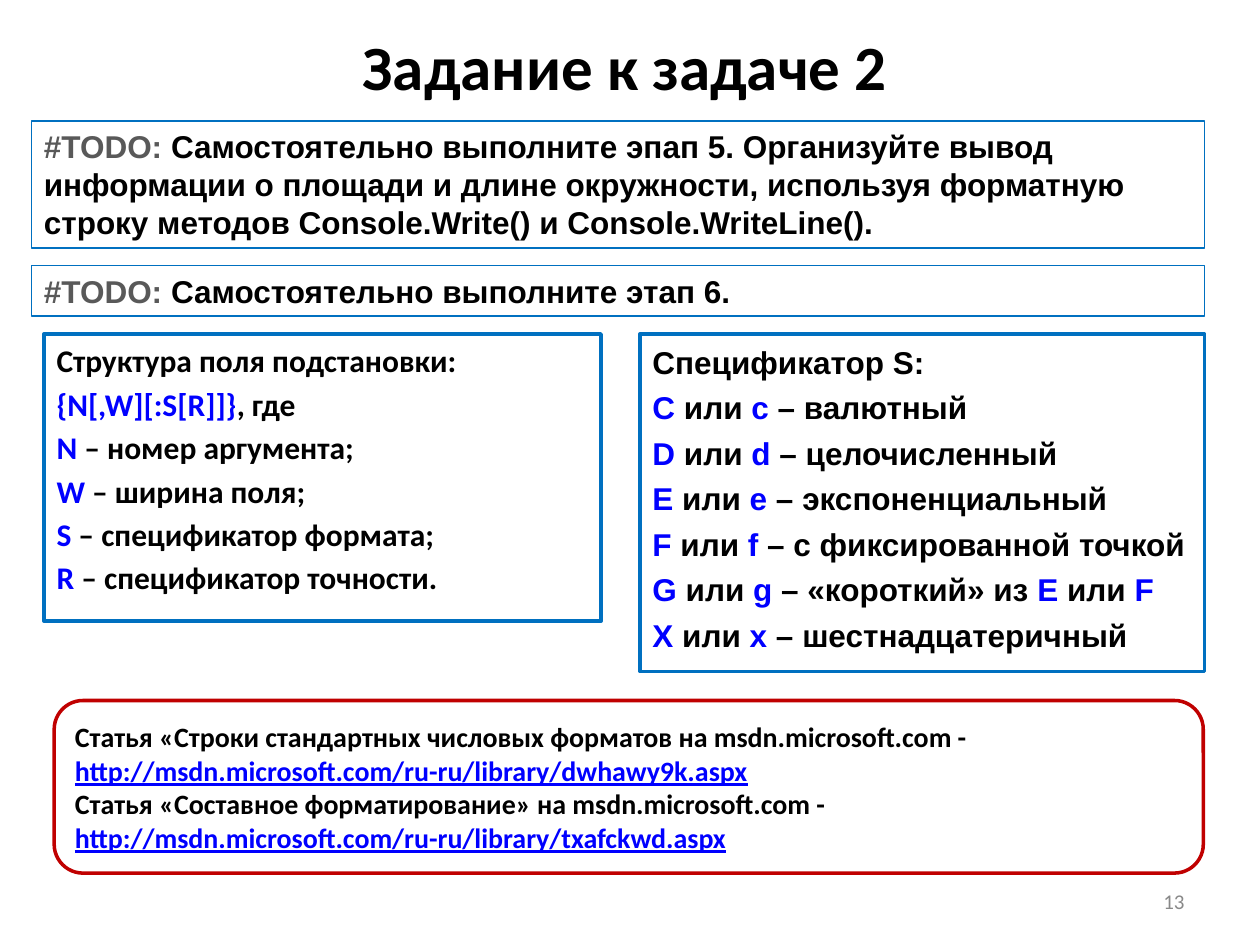
import pptx
import pptx.util
import pptx.dml.color
import pptx.enum.shapes
import pptx.enum.text

Inches, Pt = pptx.util.Inches, pptx.util.Pt
SHAPE = pptx.enum.shapes.MSO_SHAPE
ALIGN = pptx.enum.text.PP_ALIGN
ANCHOR = pptx.enum.text.MSO_ANCHOR

HUES = {"text": "000000", "key": "0000FF", "todo": "595959", "page": "898989",
        "edge": "0070C0", "frame": "C00000", "paper": "FFFFFF"}


def color(name):
    return pptx.dml.color.RGBColor.from_string(HUES[name])


class Deck:
    """Holds the current slide and the shared text style."""

    def __init__(self, slide):
        self.slide = slide

    def text(self, shape, lines, size, font="Calibri", bold=True, hue="text",
             mark="key", line=False, align=ALIGN.LEFT, anchor=ANCHOR.TOP,
             gap=0, hang=0, top=0.05):
        """Fill a shape; text between bars takes the mark colour."""
        frame = shape.text_frame
        frame.word_wrap = True
        frame.vertical_anchor = anchor
        frame.margin_top = Inches(top)
        for i, words in enumerate(lines):
            para = frame.add_paragraph() if i else frame.paragraphs[0]
            para.alignment = align
            if i and gap:
                para.space_before = Pt(gap)
            if hang:
                props = para._p.get_or_add_pPr()
                props.set("marL", str(Inches(hang)))
                props.set("indent", str(-Inches(hang)))
            para.font.name, para.font.size = font, Pt(size)
            para.font.bold = bold
            for j, part in enumerate(words.split("|")):
                if not part:
                    continue
                run = para.add_run()
                run.text = part
                run.font.color.rgb = color(mark if j % 2 else hue)
                if line and j % 2:
                    run.font.underline = True

    def label(self, area, words, size, **style):
        box = self.slide.shapes.add_textbox(*map(Inches, area))
        self.text(box, [words], size, anchor=ANCHOR.MIDDLE, **style)

    def panel(self, area, lines, size=18, kind=SHAPE.RECTANGLE, edge="edge",
              width=2, fill=None, **style):
        box = self.slide.shapes.add_shape(kind, *map(Inches, area))
        box.shadow.inherit = False
        if fill:
            box.fill.solid()
            box.fill.fore_color.rgb = color(fill)
        else:
            box.fill.background()
        box.line.color.rgb = color(edge)
        box.line.width = Pt(width)
        self.text(box, lines, size, **style)


def main():
    show = pptx.Presentation()
    show.slide_width, show.slide_height = Inches(10), Inches(7.5)
    deck = Deck(show.slides.add_slide(show.slide_layouts[6]))

    # Title and page number
    deck.label((0.46, 0.09, 9, 0.85), "Задание к задаче 2", 36, align=ALIGN.CENTER)
    deck.label((7.17, 6.95, 2.33, 0.4), "13", 12, bold=False, hue="page",
               align=ALIGN.RIGHT)

    # Tasks
    tasks = [
        (0.96, 1.01, "Самостоятельно выполните эпап 5. Организуйте вывод информации "
         "о площади и длине окружности, используя форматную строку методов "
         "Console.Write() и Console.WriteLine()."),
        (2.11, 0.4, "Самостоятельно выполните этап 6."),
    ]
    for top, height, words in tasks:
        deck.panel((0.25, top, 9.31, height), ["|#TODO: |" + words],
                   width=0.75, font="Arial", mark="todo")

    # Substitution field
    deck.panel((0.35, 2.65, 4.42, 2.28), [
        "Структура поля подстановки:",
        "|{N[,W][:S[R]]}|, где",
        "|N| – номер аргумента;",
        "|W| – ширина поля;",
        "|S| – спецификатор формата;",
        "|R| – спецификатор точности.",
    ], gap=3.2, hang=0.38, top=0.06)

    # Links
    deck.panel((0.43, 5.56, 9.12, 1.37), [
        "Статья «Строки стандартных числовых форматов на msdn.microsoft.com - "
        "|http://msdn.microsoft.com/ru-ru/library/dwhawy9k.aspx|",
        "Статья «Составное форматирование» на msdn.microsoft.com - "
        "|http://msdn.microsoft.com/ru-ru/library/txafckwd.aspx|",
    ], size=16, kind=SHAPE.ROUNDED_RECTANGLE, edge="frame", fill="paper",
        line=True, anchor=ANCHOR.MIDDLE)

    # Format specifiers
    deck.panel((5.08, 2.65, 4.48, 2.68), [
        "Спецификатор S:",
        "|С| или |с| – валютный",
        "|D| или |d| – целочисленный",
        "|E| или |e| – экспоненциальный",
        "|F| или |f| – с фиксированной точкой",
        "|G| или |g| – «короткий» из |E| или |F|",
        "|X| или |x| – шестнадцатеричный",
    ], font="Arial", gap=4.4, hang=0.38, top=0.07)

    show.save("out.pptx")


if __name__ == "__main__":
    main()
